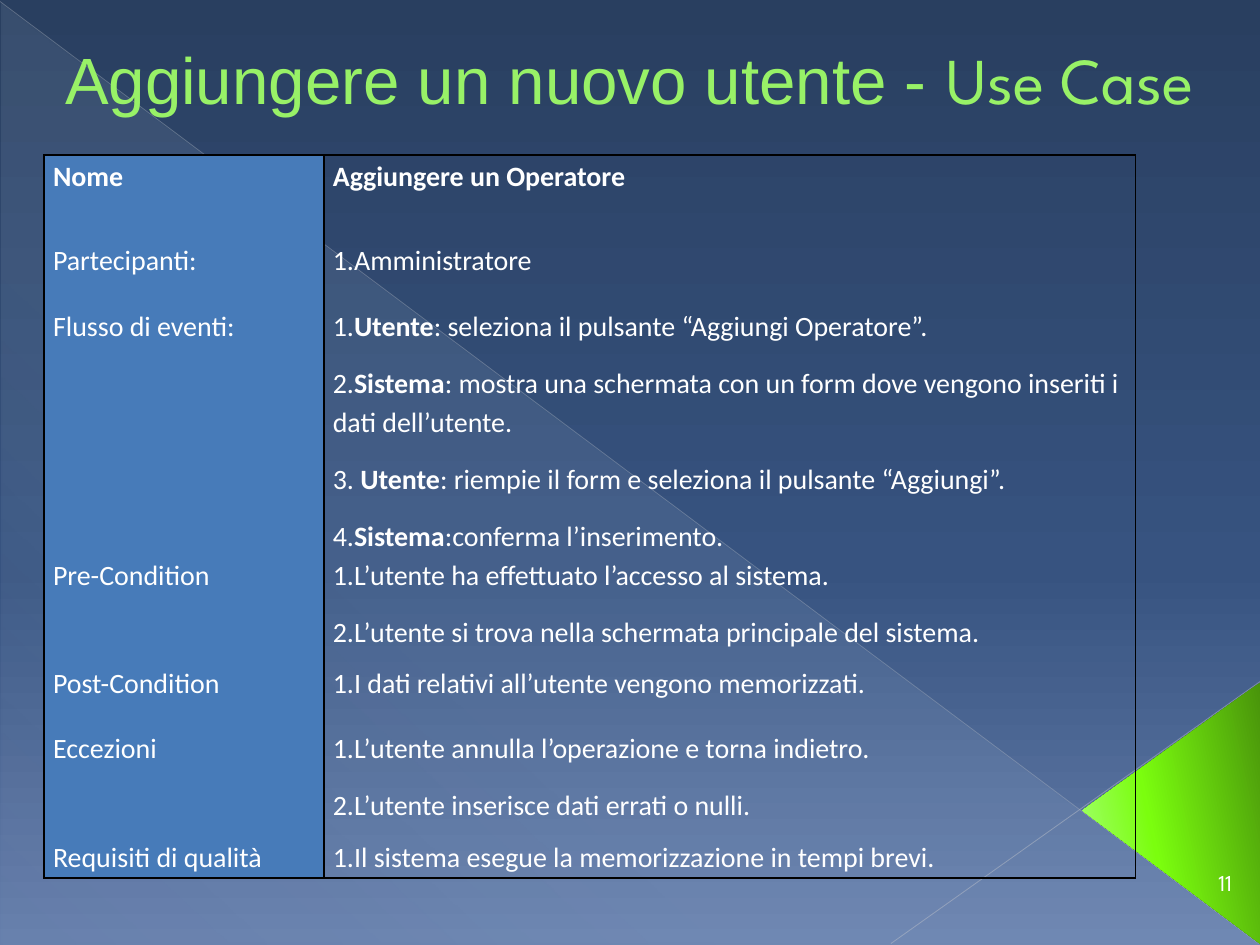
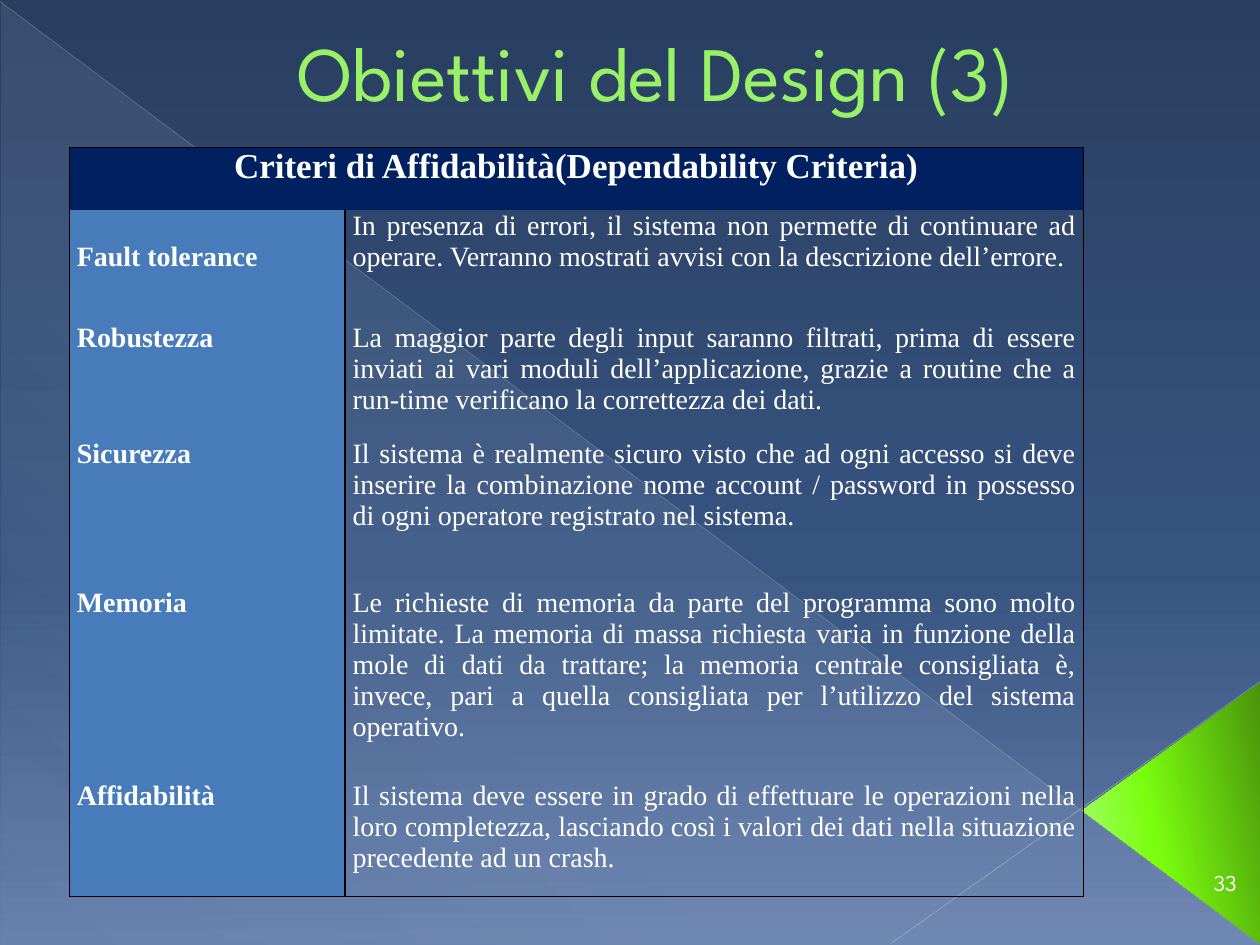
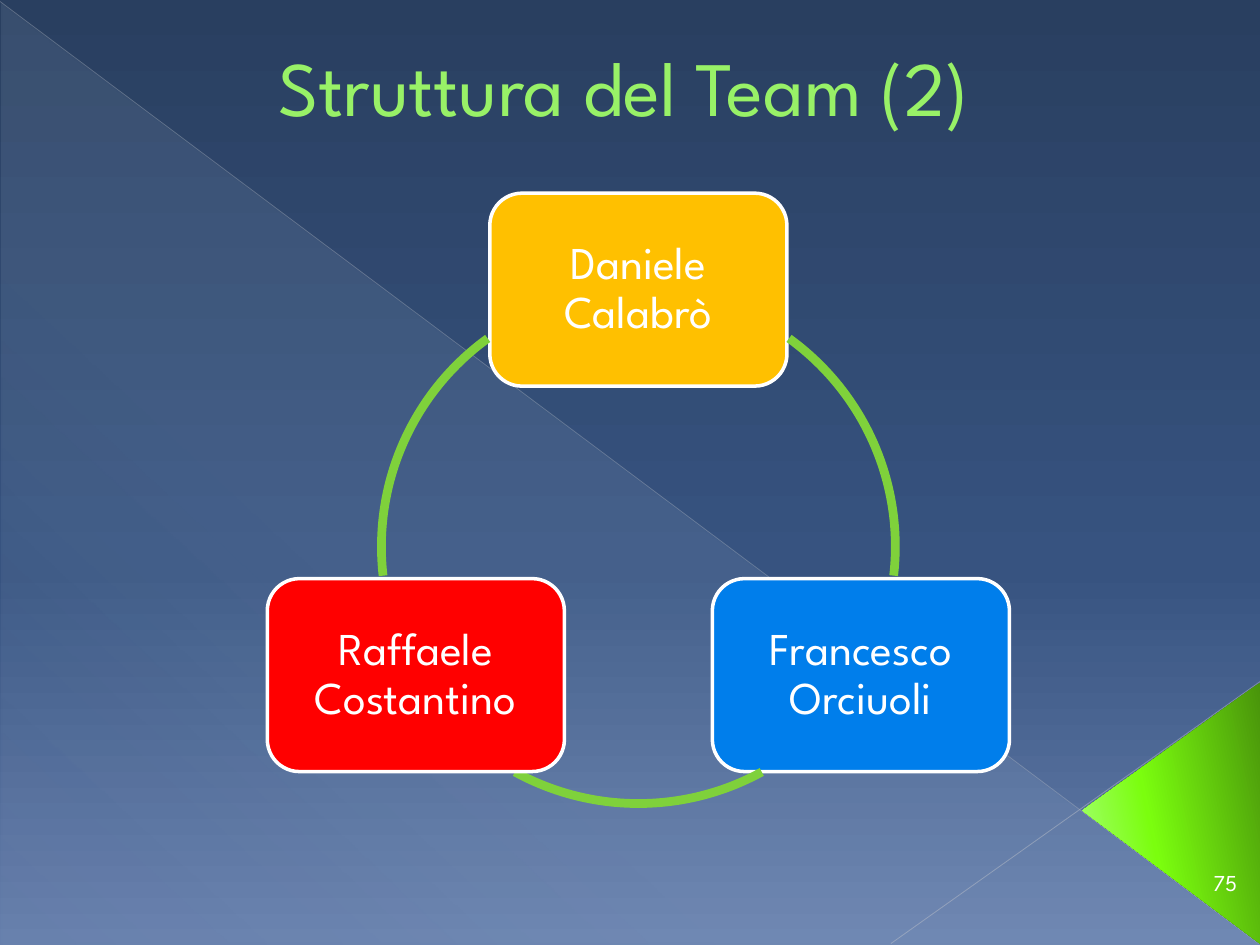
import math
from dataclasses import dataclass
from typing import NamedTuple, Optional

import pptx
import pptx.dml.color
import pptx.enum.shapes
import pptx.enum.text
import pptx.oxml
import pptx.oxml.ns
import pptx.util

Cm = pptx.util.Cm
Pt = pptx.util.Pt
RGBColor = pptx.dml.color.RGBColor
SHAPE = pptx.enum.shapes.MSO_SHAPE
ALIGN = pptx.enum.text.PP_ALIGN
ANCHOR = pptx.enum.text.MSO_ANCHOR
qn = pptx.oxml.ns.qn

# Colours
WHITE = RGBColor(0xFF, 0xFF, 0xFF)
BLACK = RGBColor(0x00, 0x00, 0x00)
TITLE_GREEN = RGBColor(0x98, 0xF1, 0x67)
TITLE_EDGE = RGBColor(0x58, 0x91, 0x29)
LABEL_BLUE = RGBColor(0x47, 0x7B, 0xB9)
HEADER_NAVY = RGBColor(0x00, 0x20, 0x60)
SKY_TOP = RGBColor(0x29, 0x3F, 0x60)
SKY_MIDDLE = RGBColor(0x37, 0x53, 0x80)
SKY_BOTTOM = RGBColor(0x66, 0x7F, 0xAC)
HAZE = RGBColor(0xD6, 0xEC, 0xFF)
LONG_LINE = RGBColor(0xB7, 0xBC, 0xC5)
SHORT_LINE = RGBColor(0xBF, 0xC3, 0xCB)
LEAF_DARK = RGBColor(0x49, 0x94, 0x0B)
LEAF_BRIGHT = RGBColor(0x7B, 0xFE, 0x0E)
LEAF_LIGHT = RGBColor(0xA8, 0xFF, 0x7D)
RING_GREEN = RGBColor(0x7F, 0xD1, 0x3B)
YELLOW = RGBColor(0xFF, 0xC0, 0x00)
BLUE = RGBColor(0x00, 0x7E, 0xEB)
RED = RGBColor(0xFF, 0x00, 0x00)

# Fonts
DISPLAY = "League Spartan"
NO_STYLE = "{2D5ABB26-0587-4C30-8999-92F81FD0307C}"


class Run(NamedTuple):
    text: str
    bold: bool = False
    font: str = DISPLAY


class Stop(NamedTuple):
    position: int
    color: RGBColor
    opacity: int = 100


class Band(NamedTuple):
    start: tuple[float, float]
    end: tuple[float, float]
    color: RGBColor
    width: float
    opacity: int


class Row(NamedTuple):
    height: float
    label: Run
    paragraphs: list[list[Run]]
    label_spacing: Optional[float] = None


@dataclass
class Grid:
    left: float
    top: float
    columns: tuple[float, float]
    font: str
    inset: float
    rows: list[Row]
    align: ALIGN = ALIGN.LEFT
    spacing: float = 1.0
    after: float = 0
    header: str = ""
    header_height: float = 0


@dataclass
class Title:
    runs: list[Run]
    left: float
    width: float
    height: float = 2.49
    size: float = 44


class Member(NamedTuple):
    name: str
    color: RGBColor
    angle: float
    arc_start: float
    arc_end: float


BANDS = [
    Band((0, 0.03), (25.37, 19.02), LONG_LINE, 0.39, 35),
    Band((25.4, 13.74), (17.96, 19.02), SHORT_LINE, 0.47, 45),
]


# Shared drawing helpers
def add_run(p, run: Run, size: float, color: RGBColor):
    r = p.add_run()
    r.text = run.text
    r.font.name, r.font.size, r.font.bold = run.font, Pt(size), run.bold
    r.font.color.rgb = color
    return r


def set_alpha(color_element, opacity: int) -> None:
    alpha = pptx.oxml.parse_xml(f'<a:alpha {pptx.oxml.ns.nsdecls("a")} val="{opacity * 1000}"/>')
    color_element.append(alpha)


def set_gradient(fill, owner, stops: list[Stop], angle: int) -> None:
    fill.gradient()
    fill.gradient_angle = 360 - angle
    gs_list = owner.find(".//" + qn("a:gsLst"))
    for gs in list(gs_list):
        gs_list.remove(gs)
    for stop in stops:
        gs = pptx.oxml.parse_xml(
            f'<a:gs {pptx.oxml.ns.nsdecls("a")} pos="{stop.position * 1000}">'
            f'<a:srgbClr val="{stop.color}"/></a:gs>')
        if stop.opacity < 100:
            set_alpha(gs[0], stop.opacity)
        gs_list.append(gs)


def add_shape(slide, kind: SHAPE, left: float, top: float, width: float, height: float):
    sp = slide.shapes.add_shape(kind, Cm(left), Cm(top), Cm(width), Cm(height))
    sp.shadow.inherit = False
    return sp


def add_text_box(slide, left: float, top: float, width: float, height: float, anchor: ANCHOR):
    box = slide.shapes.add_textbox(Cm(left), Cm(top), Cm(width), Cm(height))
    tf = box.text_frame
    tf.word_wrap = True
    tf.vertical_anchor = anchor
    p = tf.paragraphs[0]
    p.alignment = ALIGN.CENTER
    return p


def add_band(slide, band: Band) -> None:
    (x1, y1), (x2, y2) = band.start, band.end
    line = slide.shapes.add_connector(
        pptx.enum.shapes.MSO_CONNECTOR.STRAIGHT, Cm(x1), Cm(y1), Cm(x2), Cm(y2))
    line.line.color.rgb = band.color
    line.line.width = Pt(band.width)
    properties = line._element.spPr
    set_alpha(properties.find(".//" + qn("a:srgbClr")), band.opacity)
    properties.append(pptx.oxml.parse_xml(f'<a:effectLst {pptx.oxml.ns.nsdecls("a")}/>'))


def add_backdrop(slide) -> None:
    set_gradient(slide.background.fill, slide._element,
                 [Stop(0, SKY_TOP), Stop(60, SKY_MIDDLE), Stop(100, SKY_BOTTOM)], 90)
    haze = add_shape(slide, SHAPE.RIGHT_TRIANGLE, 0.03, 0.05, 25.37, 19)
    set_gradient(haze.fill, haze._element,
                 [Stop(0, HAZE, 10), Stop(70, HAZE, 8), Stop(100, HAZE, 1)], 133)
    haze.line.fill.background()
    for band in BANDS:
        add_band(slide, band)
    leaf = add_shape(slide, SHAPE.ISOSCELES_TRIANGLE, 20.98, 14.6, 5.26, 3.58)
    leaf.rotation = 270
    leaf.adjustments[0] = 0.51
    set_gradient(leaf.fill, leaf._element,
                 [Stop(0, LEAF_DARK), Stop(60, LEAF_BRIGHT), Stop(100, LEAF_LIGHT)], 258)
    leaf.line.fill.background()


def add_title(slide, title: Title) -> None:
    p = add_text_box(slide, title.left, 0, title.width, title.height, ANCHOR.BOTTOM)
    p._p.get_or_add_pPr().set("marL", str(Cm(1.35)))
    for run in title.runs:
        r = add_run(p, run, title.size, TITLE_GREEN)
        r.font._element.insert(0, pptx.oxml.parse_xml(
            f'<a:ln {pptx.oxml.ns.nsdecls("a")} w="{Pt(0.5)}">'
            f'<a:solidFill><a:srgbClr val="{TITLE_EDGE}"/></a:solidFill></a:ln>'))


def add_number(slide, number: int) -> None:
    p = add_text_box(slide, 24, 17.27, 1.4, 1.02, ANCHOR.MIDDLE)
    add_run(p, Run(str(number)), 13, WHITE)


def start_slide(prs, title: Title):
    slide = prs.slides.add_slide(prs.slide_layouts[6])
    add_backdrop(slide)
    add_title(slide, title)
    return slide


# Tables
def set_borders(cell, sides: str) -> None:
    for side in sides:
        cell._tc.get_or_add_tcPr().append(pptx.oxml.parse_xml(
            f'<a:ln{side} {pptx.oxml.ns.nsdecls("a")} w="{Pt(1)}">'
            f'<a:solidFill><a:srgbClr val="{BLACK}"/></a:solidFill></a:ln{side}>'))


def fill_cell(cell, grid: Grid, paragraphs: list[list[Run]], color: Optional[RGBColor],
              size: float = 16, align: Optional[ALIGN] = None,
              spacing: Optional[float] = None) -> None:
    cell.margin_left = cell.margin_right = Cm(grid.inset)
    cell.margin_top = cell.margin_bottom = 0
    if color is None:
        cell.fill.background()
    else:
        cell.fill.solid()
        cell.fill.fore_color.rgb = color
    tf = cell.text_frame
    for i, runs in enumerate(paragraphs):
        p = tf.add_paragraph() if i else tf.paragraphs[0]
        p.alignment = align or grid.align
        p.line_spacing = spacing or grid.spacing
        p.space_after = Pt(grid.after)
        for run in runs:
            add_run(p, run._replace(font=grid.font), size, WHITE)


def add_grid(slide, grid: Grid) -> None:
    offset = 1 if grid.header else 0
    heights = [grid.header_height] * offset + [row.height for row in grid.rows]
    frame = slide.shapes.add_table(len(heights), 2, Cm(grid.left), Cm(grid.top),
                                   Cm(sum(grid.columns)), Cm(sum(heights)))
    table = frame.table
    table.first_row = table.horz_banding = False
    table._tbl.tblPr.find(qn("a:tableStyleId")).text = NO_STYLE
    for column, width in zip(table.columns, grid.columns):
        column.width = Cm(width)
    last = len(heights) - 1
    for i, height in enumerate(heights):
        table.rows[i].height = Cm(height)
        for j in range(2):
            set_borders(table.cell(i, j), "LR" + "T" * (i == 0) + "B" * (i == last))
    if grid.header:
        table.cell(0, 0).merge(table.cell(0, 1))
        fill_cell(table.cell(0, 0), grid, [[Run(grid.header, True)]], HEADER_NAVY,
                  size=20, align=ALIGN.CENTER)
    for i, row in enumerate(grid.rows, offset):
        fill_cell(table.cell(i, 0), grid, [[row.label]], LABEL_BLUE, spacing=row.label_spacing)
        fill_cell(table.cell(i, 1), grid, row.paragraphs, None)


# Team ring
RING_X, RING_Y, RING_RADIUS = 12.87, 11.02, 5.18
CARD_WIDTH, CARD_HEIGHT = 5.99, 3.89


def add_member(slide, member: Member) -> None:
    angle = math.radians(member.angle)
    x = RING_X + RING_RADIUS * math.cos(angle)
    y = RING_Y + RING_RADIUS * math.sin(angle)
    card = add_shape(slide, SHAPE.ROUNDED_RECTANGLE, x - CARD_WIDTH / 2, y - CARD_HEIGHT / 2,
                     CARD_WIDTH, CARD_HEIGHT)
    card.fill.solid()
    card.fill.fore_color.rgb = member.color
    card.line.color.rgb = WHITE
    card.line.width = Pt(2)
    tf = card.text_frame
    tf.word_wrap = True
    tf.vertical_anchor = ANCHOR.MIDDLE
    tf.margin_left = tf.margin_right = tf.margin_top = tf.margin_bottom = Cm(0.28)
    p = tf.paragraphs[0]
    p.alignment = ALIGN.CENTER
    p.line_spacing = 0.9
    add_run(p, Run(member.name), 26, WHITE)

    arc = add_shape(slide, SHAPE.ARC, RING_X - RING_RADIUS, RING_Y - RING_RADIUS,
                    2 * RING_RADIUS, 2 * RING_RADIUS)
    arc.fill.background()
    arc.line.color.rgb = RING_GREEN
    arc.line.width = Pt(5)
    # Arc adjustments run from 0 to 360 degrees, 60000 units each, scaled by 100000
    arc.adjustments[0] = member.arc_start * 0.6
    arc.adjustments[1] = member.arc_end * 0.6


# Content
def step(number: str, actor: str, action: str) -> list[Run]:
    return [Run(number), Run(actor, True), Run(action)]


USE_CASE = Grid(0.89, 3.12, (5.64, 16.36), "Calibri", 0.18, spacing=1.15, after=10, rows=[
    Row(1.7, Run("Nome", True), [[Run("Aggiungere un Operatore", True)]]),
    Row(1.32, Run("Partecipanti:"), [[Run("1.Amministratore")]]),
    Row(5.02, Run("Flusso di eventi:"), [
        step("1.", "Utente", ": seleziona il pulsante “Aggiungi Operatore”."),
        step("2.", "Sistema", ": mostra una schermata con un form dove vengono inseriti i "
                              "dati dell’utente."),
        step("3.", " Utente", ": riempie il form e seleziona il pulsante “Aggiungi”."),
        step("4.", "Sistema", ":conferma l’inserimento."),
    ]),
    Row(2.18, Run("Pre-Condition"), [
        [Run("1.L’utente ha effettuato l’accesso al sistema.")],
        [Run("2.L’utente si trova nella schermata principale del sistema.")],
    ]),
    Row(1.32, Run("Post-Condition"), [
        [Run("1.I dati relativi all’utente vengono memorizzati.")]]),
    Row(2.18, Run("Eccezioni"), [
        [Run("1.L’utente annulla l’operazione e torna indietro.")],
        [Run("2.L’utente inserisce dati errati o nulli.")],
    ]),
    Row(0.86, Run("Requisiti di qualità"), [
        [Run("1.Il sistema esegue la memorizzazione in tempi brevi.")]]),
])

DEPENDABILITY = Grid(
    1.4, 2.97, (5.56, 14.88), "Times New Roman", 0.15, align=ALIGN.JUSTIFY,
    header="Criteri di Affidabilità(Dependability Criteria)", header_height=1.27, rows=[
        Row(2.26, Run("Fault tolerance", True), [[Run(
            "In presenza di errori, il sistema non permette di continuare ad operare. "
            "Verranno mostrati avvisi con la descrizione dell’errore.")]], 2.0),
        Row(2.34, Run("Robustezza", True), [[Run(
            "La maggior parte degli input saranno filtrati, prima di essere inviati ai vari "
            "moduli dell’applicazione, grazie a routine che a run-time verificano la "
            "correttezza dei dati.")]]),
        Row(3, Run("Sicurezza", True), [[Run(
            "Il sistema è realmente sicuro visto che ad ogni accesso si deve inserire la "
            "combinazione nome account / password in possesso di ogni operatore registrato "
            "nel sistema.")]]),
        Row(3.89, Run("Memoria", True), [[Run(
            "Le richieste di memoria da parte del programma sono molto limitate. La memoria "
            "di massa richiesta varia in funzione della mole di dati da trattare; la memoria "
            "centrale consigliata è, invece, pari a quella consigliata per l’utilizzo del "
            "sistema operativo.")]]),
        Row(2.34, Run("Affidabilità", True), [[Run(
            "Il sistema deve essere in grado di effettuare le operazioni nella loro "
            "completezza, lasciando così i valori dei dati nella situazione precedente ad "
            "un crash.")]]),
    ])

TEAM = [
    Member("Daniele Calabrò", YELLOW, -90, 305.9, 6.5),
    Member("Francesco Orciuoli", BLUE, 30, 61.3, 118.7),
    Member("Raffaele Costantino", RED, 150, 173.5, 234.1),
]


def main() -> None:
    prs = pptx.Presentation()
    prs.slide_width, prs.slide_height = Cm(25.4), Cm(19.05)

    # Use case table
    slide = start_slide(prs, Title(
        [Run("Aggiungere un nuovo utente - ", font="Arial"), Run("Use Case")],
        -0.89, 25.81, size=37.4))
    add_grid(slide, USE_CASE)
    add_number(slide, 11)

    # Dependability criteria table
    slide = start_slide(prs, Title([Run("Obiettivi del Design (3)")], 0.79, 23.52))
    add_grid(slide, DEPENDABILITY)
    add_number(slide, 33)

    # Team ring
    slide = start_slide(prs, Title([Run("Struttura del Team (2)")], 0.71, 22.4, 2.79))
    for member in TEAM:
        add_member(slide, member)
    add_number(slide, 75)

    prs.save("out.pptx")


if __name__ == "__main__":
    main()
